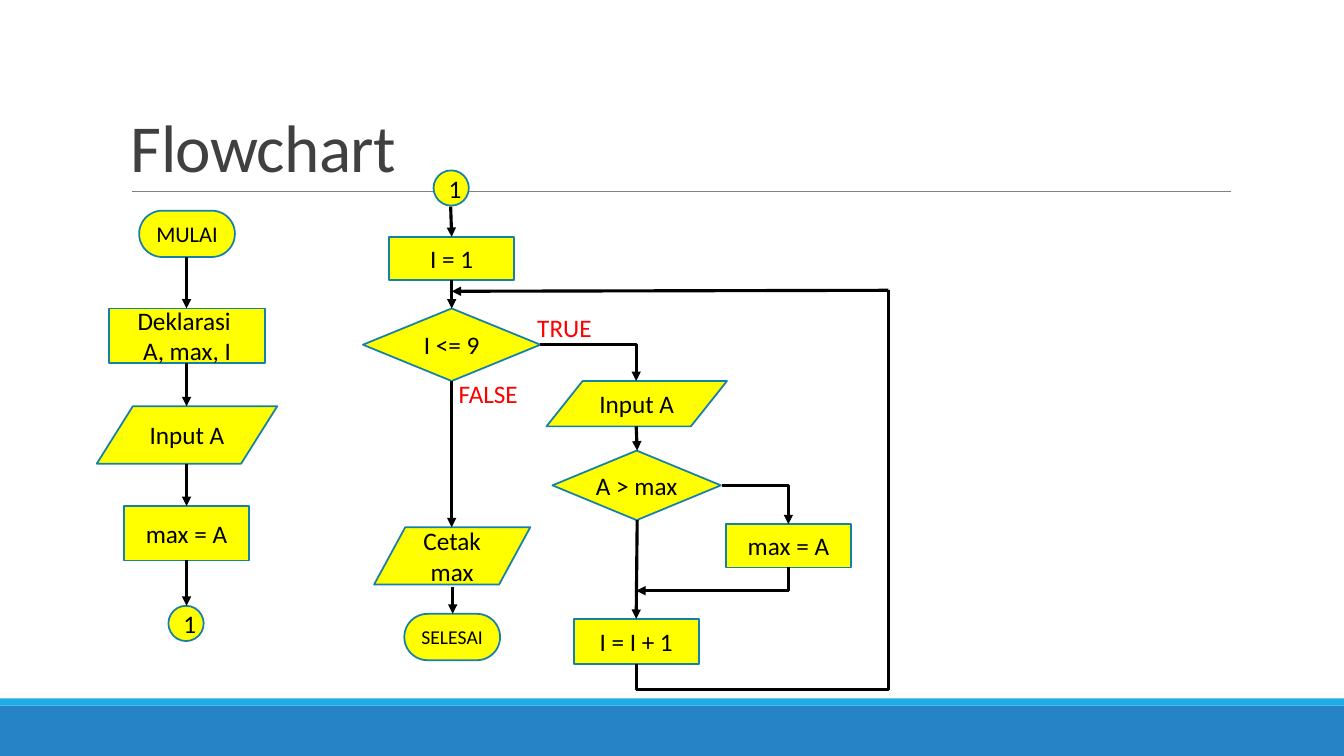
"""Build the flowchart slide that finds the maximum of a series of inputs."""

from dataclasses import dataclass

import lxml.etree
import pptx
import pptx.dml.color
import pptx.enum.shapes
import pptx.enum.text
import pptx.oxml
import pptx.oxml.ns
import pptx.util

RGBColor = pptx.dml.color.RGBColor
Preset = pptx.enum.shapes.MSO_SHAPE
Anchor = pptx.enum.text.MSO_ANCHOR
Align = pptx.enum.text.PP_ALIGN

EMU_PER_PX = 9144
SLIDE_WIDTH, SLIDE_HEIGHT = 1333, 750
FONT = "Calibri"
BLACK = RGBColor(0x00, 0x00, 0x00)
RED = RGBColor(0xFF, 0x00, 0x00)
YELLOW = RGBColor(0xFF, 0xFF, 0x00)
OUTLINE = RGBColor(0x15, 0x80, 0xA9)
TITLE_GREY = RGBColor(0x40, 0x40, 0x40)
RULE_GREY = RGBColor(0x80, 0x80, 0x80)
BAND_BLUE = RGBColor(0x26, 0x83, 0xC6)
STRIPE_BLUE = RGBColor(0x1C, 0xAD, 0xE4)


@dataclass(frozen=True)
class Box:
    """A position and size in px."""

    left: int
    top: int
    width: int
    height: int


@dataclass(frozen=True)
class Node:
    """One step of the flowchart."""

    text: str
    preset: Preset
    box: Box
    size: int = 18


@dataclass(frozen=True)
class Link:
    """A line between two points in px, straight or bent."""

    start: tuple[int, int]
    end: tuple[int, int]
    preset: str = "line"
    quarter_turn: bool = False
    arrow: bool = True
    adjust: int | None = None
    color: RGBColor = BLACK
    weight: float = 2.25


@dataclass(frozen=True)
class Label:
    """Free text on the slide."""

    text: str
    box: Box
    color: RGBColor = RED
    size: int = 18


BANDS = [
    (Box(0, 700, SLIDE_WIDTH, 50), BAND_BLUE),
    (Box(0, 693, SLIDE_WIDTH, 7), STRIPE_BLUE),
]
TITLE = Label("Flowchart", Box(120, 31, 1100, 159), TITLE_GREY, 48)
TITLE_RULE = Link((131, 190), (1221, 190), arrow=False, color=RULE_GREY, weight=0.5)

NODES = [
    Node("MULAI", Preset.ROUNDED_RECTANGLE, Box(138, 209, 95, 46), 16),
    Node("Deklarasi \vA, max, I", Preset.RECTANGLE, Box(108, 306, 155, 54)),
    Node("Input A", Preset.FLOWCHART_DATA, Box(96, 403, 179, 57)),
    Node("max = A", Preset.RECTANGLE, Box(123, 502, 124, 54)),
    Node("1", Preset.OVAL, Box(167, 601, 35, 35)),
    Node("1", Preset.OVAL, Box(430, 169, 35, 35)),
    Node("I = 1", Preset.RECTANGLE, Box(386, 235, 124, 43)),
    Node("I <= 9", Preset.FLOWCHART_DECISION, Box(360, 306, 176, 72)),
    Node("Cetak max", Preset.FLOWCHART_DATA, Box(371, 523, 155, 57)),
    Node("SELESAI", Preset.ROUNDED_RECTANGLE, Box(401, 609, 95, 46), 14),
    Node("Input A", Preset.FLOWCHART_DATA, Box(542, 378, 179, 45)),
    Node("A > max", Preset.FLOWCHART_DECISION, Box(548, 447, 167, 69)),
    Node("max = A", Preset.RECTANGLE, Box(720, 520, 124, 43)),
    Node("I = I + 1", Preset.RECTANGLE, Box(569, 614, 124, 45)),
]

LINKS = [
    Link((185, 255), (185, 306)),
    Link((185, 360), (185, 403)),
    Link((185, 460), (185, 502)),
    Link((185, 556), (185, 601)),
    Link((447, 205), (448, 235)),
    Link((448, 278), (448, 306)),
    Link((448, 378), (448, 523)),
    Link((449, 582), (449, 609)),
    Link((631, 423), (632, 447)),
    Link((632, 516), (631, 614)),
    Link((536, 342), (631, 378), "bentConnector2"),
    Link((716, 482), (782, 520), "bentConnector2"),
    Link((782, 563), (631, 586), "bentConnector2", quarter_turn=True),
    Link((631, 659), (881, 288), "bentConnector3", True, False, -6700),
    Link((881, 288), (448, 289)),
]

LABELS = [
    Label("TRUE", Box(523, 305, 75, 40)),
    Label("FALSE", Box(445, 370, 79, 40)),
]


def px(length: float) -> pptx.util.Emu:
    """Turn px into EMU."""
    return pptx.util.Emu(round(length * EMU_PER_PX))


def frame(box: Box) -> tuple[pptx.util.Emu, ...]:
    """Give the box as left, top, width and height in EMU."""
    return px(box.left), px(box.top), px(box.width), px(box.height)


def write_text(shape, text: str, size: int, color: RGBColor, align: Align) -> None:
    """Put formatted text into a shape."""
    shape.text_frame.text = text
    for paragraph in shape.text_frame.paragraphs:
        paragraph.alignment = align
        for run in paragraph.runs:
            run.font.name = FONT
            run.font.size = pptx.util.Pt(size)
            run.font.color.rgb = color


def add_band(slide, box: Box, color: RGBColor) -> None:
    """Draw a plain strip across the slide."""
    shape = slide.shapes.add_shape(Preset.RECTANGLE, *frame(box))
    shape.shadow.inherit = False
    shape.fill.solid()
    shape.fill.fore_color.rgb = color
    shape.line.fill.background()


def add_node(slide, node: Node) -> None:
    """Draw one flowchart step."""
    shape = slide.shapes.add_shape(node.preset, *frame(node.box))
    shape.shadow.inherit = False
    shape.fill.solid()
    shape.fill.fore_color.rgb = YELLOW
    shape.line.color.rgb = OUTLINE
    shape.line.width = pptx.util.Pt(1.25)
    shape.text_frame.word_wrap = True
    shape.text_frame.vertical_anchor = Anchor.MIDDLE
    if node.preset == Preset.ROUNDED_RECTANGLE:
        shape.adjustments[0] = 0.5
    if node.preset == Preset.FLOWCHART_DECISION:
        shape.text_frame.margin_left = shape.text_frame.margin_right = 0
    write_text(shape, node.text, node.size, BLACK, Align.CENTER)


def add_link(slide, link: Link) -> None:
    """Draw a connector, turned about its middle when it leaves vertically."""
    (start_x, start_y), (end_x, end_y) = link.start, link.end
    if link.quarter_turn:
        middle_x, middle_y = (start_x + end_x) / 2, (start_y + end_y) / 2
        offset_x, offset_y = start_x - middle_x, start_y - middle_y
        start_x, start_y = middle_x + offset_y, middle_y - offset_x
        end_x, end_y = middle_x - offset_y, middle_y + offset_x
    connector = slide.shapes.add_connector(
        pptx.enum.shapes.MSO_CONNECTOR.STRAIGHT,
        px(start_x), px(start_y), px(end_x), px(end_y),
    )
    connector.line.color.rgb = link.color
    connector.line.width = pptx.util.Pt(link.weight)
    qn = pptx.oxml.ns.qn
    properties = connector._element.spPr
    geometry = properties.find(qn("a:prstGeom"))
    geometry.set("prst", link.preset)
    if link.quarter_turn:
        properties.find(qn("a:xfrm")).set("rot", "5400000")
    if link.adjust is not None:
        guide = lxml.etree.SubElement(geometry.find(qn("a:avLst")), qn("a:gd"))
        guide.set("name", "adj1")
        guide.set("fmla", f"val {link.adjust}")
    if link.arrow:
        tail = lxml.etree.SubElement(properties.find(qn("a:ln")), qn("a:tailEnd"))
        tail.set("type", "triangle")
    lxml.etree.SubElement(properties, qn("a:effectLst"))


def add_label(slide, label: Label):
    """Draw a text box on one line and return it."""
    shape = slide.shapes.add_textbox(*frame(label.box))
    shape.text_frame.word_wrap = False
    write_text(shape, label.text, label.size, label.color, Align.LEFT)
    return shape


def add_title(slide) -> None:
    """Draw the title above its rule."""
    shape = add_label(slide, TITLE)
    shape.text_frame.word_wrap = True
    shape.text_frame.vertical_anchor = Anchor.BOTTOM
    paragraph = shape.text_frame.paragraphs[0]
    paragraph.line_spacing = 0.85
    paragraph.runs[0].font._element.set("spc", "-50")


def main() -> None:
    """Build and save the presentation."""
    presentation = pptx.Presentation()
    presentation.slide_width = px(SLIDE_WIDTH)
    presentation.slide_height = px(SLIDE_HEIGHT)
    slide = presentation.slides.add_slide(presentation.slide_layouts[6])
    for box, color in BANDS:
        add_band(slide, box, color)
    add_link(slide, TITLE_RULE)
    add_title(slide)
    for node in NODES:
        add_node(slide, node)
    for link in LINKS:
        add_link(slide, link)
    for label in LABELS:
        add_label(slide, label)
    presentation.save("out.pptx")


if __name__ == "__main__":
    main()
